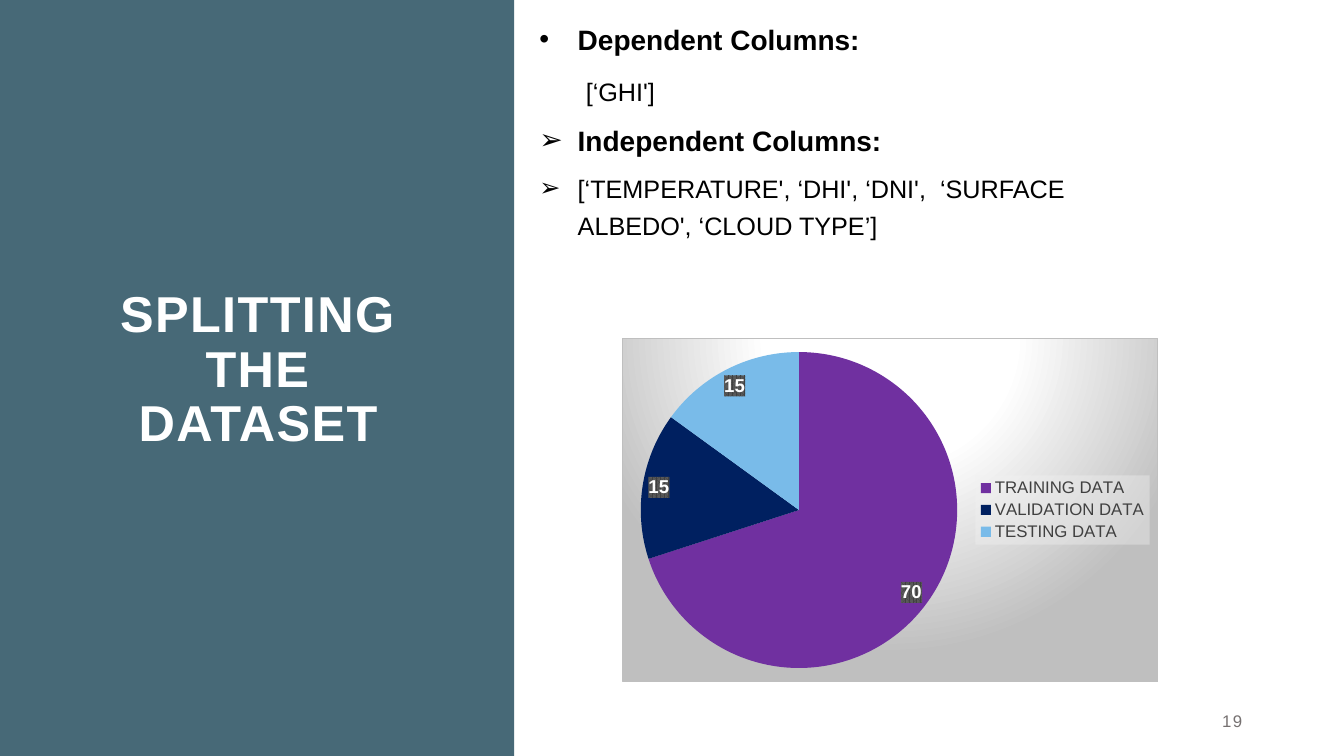
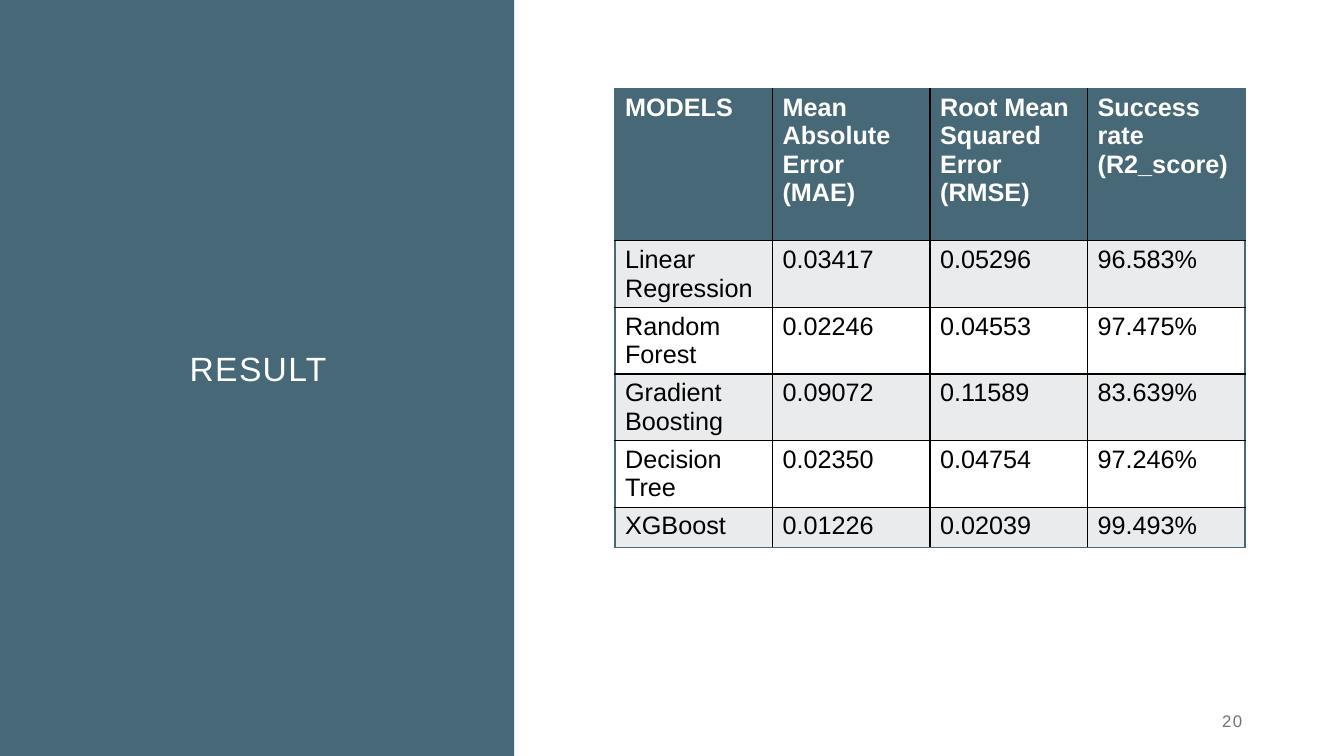
import pptx
import pptx.chart.data
import pptx.dml.color
import pptx.enum.chart
import pptx.enum.shapes
import pptx.enum.text
import pptx.oxml
import pptx.util
from lxml import etree

Inches, Pt = pptx.util.Inches, pptx.util.Pt
RGBColor = pptx.dml.color.RGBColor
ALIGN = pptx.enum.text.PP_ALIGN
ANCHOR = pptx.enum.text.MSO_ANCHOR
A_NS = "http://schemas.openxmlformats.org/drawingml/2006/main"
C_NS = "http://schemas.openxmlformats.org/drawingml/2006/chart"

# Shared look
FONT = "Arial"
TEAL = RGBColor(0x47, 0x69, 0x77)
WHITE = RGBColor(0xFF, 0xFF, 0xFF)
BLACK = RGBColor(0, 0, 0)
GREY = RGBColor(0x76, 0x71, 0x71)
DARK = RGBColor(0x40, 0x40, 0x40)
SILVER = RGBColor(0xBF, 0xBF, 0xBF)
BAND = RGBColor(0xE9, 0xEB, 0xEC)
PURPLE = RGBColor(0x70, 0x30, 0xA0)
NAVY = RGBColor(0x00, 0x20, 0x60)
SKY = RGBColor(0x79, 0xBB, 0xE9)

# Content of the dataset slide
COLUMN_NOTES = [
    ("Dependent Columns:", dict(size=20, bold=True, bullet="•")),
    ("[‘GHI']", dict(size=18, margin=0.46, before=3)),
    ("Independent Columns:", dict(size=20, bold=True, bullet="➢")),
    ("[‘TEMPERATURE', ‘DHI', ‘DNI',  ‘SURFACE ALBEDO', ‘CLOUD TYPE’]",
     dict(size=18, bullet="➢")),
]
SPLIT = [
    ("TRAINING DATA", 70, PURPLE),
    ("VALIDATION DATA", 15, NAVY),
    ("TESTING DATA", 15, SKY),
]

# Content of the result slide
SCORES = [
    ("MODELS", "Mean Absolute Error (MAE)", "Root Mean Squared Error (RMSE)",
     "Success rate\n(R2_score)"),
    ("Linear Regression", "0.03417", "0.05296", "96.583%"),
    ("Random Forest", "0.02246", "0.04553", "97.475%"),
    ("Gradient Boosting", "0.09072", "0.11589", "83.639%"),
    ("Decision Tree", "0.02350", "0.04754", "97.246%"),
    ("XGBoost", "0.01226", "0.02039", "99.493%"),
]
ROW_HEIGHTS = [1.51, 0.66, 0.66, 0.66, 0.66, 0.4]


def write(frame, text, size=18, color=BLACK, bold=False, align=ALIGN.LEFT,
          line=1.0, before=0, after=0, tracking=0, margin=0, bullet=None):
    """Add one formatted paragraph to a text frame."""
    paragraph = frame.add_paragraph() if frame.text else frame.paragraphs[0]
    paragraph.alignment = align
    paragraph.line_spacing = line
    paragraph.space_before, paragraph.space_after = Pt(before), Pt(after)
    properties = paragraph._p.get_or_add_pPr()
    hang = 0.38 if bullet else 0
    properties.set("marL", str(Inches(margin + hang)))
    properties.set("indent", str(Inches(-hang)))
    if bullet:
        etree.SubElement(properties, f"{{{A_NS}}}buFont", typeface=FONT)
        etree.SubElement(properties, f"{{{A_NS}}}buChar", char=bullet)
    else:
        etree.SubElement(properties, f"{{{A_NS}}}buNone")
    run = paragraph.add_run()
    run.text = text
    run.font.name, run.font.size, run.font.bold = FONT, Pt(size), bold
    run.font.color.rgb = color
    if tracking:
        run.font._element.set("spc", str(tracking * 100))


def place(shape, left, top, width, height, anchor=ANCHOR.MIDDLE):
    """Position a text shape and return its frame."""
    shape.left, shape.top = Inches(left), Inches(top)
    shape.width, shape.height = Inches(width), Inches(height)
    frame = shape.text_frame
    frame.word_wrap = True
    frame.auto_size = pptx.enum.text.MSO_AUTO_SIZE.NONE
    frame.vertical_anchor = anchor
    return frame


def start_slide(deck, layout, heading, number, **heading_format):
    """Add a slide with the teal side panel, its title and its number."""
    slide = deck.slides.add_slide(deck.slide_layouts[layout])
    panel = slide.shapes.add_shape(
        pptx.enum.shapes.MSO_SHAPE.RECTANGLE,
        0, Inches(-0.01), Inches(5.1), Inches(7.51))
    panel.shadow.inherit = False
    panel.fill.solid()
    panel.fill.fore_color.rgb = TEAL
    panel.line.fill.background()
    title = slide.shapes.title
    title.element.addprevious(panel.element)
    write(place(title, 0.7, 0.88, 3.72, 5.6), heading, color=WHITE,
          align=ALIGN.CENTER, line=0.9, tracking=1, **heading_format)
    page = slide.shapes.add_textbox(0, 0, 0, 0)
    write(place(page, 9.42, 6.95, 3, 0.4), str(number), size=12, color=GREY,
          align=ALIGN.RIGHT, tracking=1)
    return slide


def chart_properties(content):
    """Build the formatting element of a chart part."""
    return pptx.oxml.parse_xml(
        f'<c:spPr xmlns:c="{C_NS}" xmlns:a="{A_NS}">{content}</c:spPr>')


def solid(color, alpha=100):
    return (f'<a:solidFill><a:srgbClr val="{color}"><a:alpha val="{alpha * 1000}"/>'
            '</a:srgbClr></a:solidFill>')


def add_split_pie(slide):
    data = pptx.chart.data.CategoryChartData()
    data.categories = [name for name, _, _ in SPLIT]
    data.add_series("Series 1", [share for _, share, _ in SPLIT])
    pie = slide.shapes.add_chart(
        pptx.enum.chart.XL_CHART_TYPE.PIE,
        Inches(6.17), Inches(3.35), Inches(5.32), Inches(3.42), data).chart
    pie.has_title = False
    pie.font.name, pie.font.size = FONT, Pt(10)
    pie.font.color.rgb = BLACK

    # Slices and value labels
    plot = pie.plots[0]
    plot.vary_by_categories = True
    for index, (_, _, color) in enumerate(SPLIT):
        fill = plot.series[0].points[index].format.fill
        fill.solid()
        fill.fore_color.rgb = color
    plot.has_data_labels = True
    labels = plot.data_labels
    labels.show_value = True
    labels.show_percentage = False
    labels.position = pptx.enum.chart.XL_LABEL_POSITION.BEST_FIT
    labels.font.name, labels.font.size, labels.font.bold = FONT, Pt(13.3), True
    labels.font.color.rgb = WHITE
    labels._element.find(f"{{{C_NS}}}txPr").addprevious(chart_properties(
        f'<a:pattFill prst="pct75"><a:fgClr><a:srgbClr val="{DARK}"/></a:fgClr>'
        '<a:bgClr><a:srgbClr val="595959"/></a:bgClr></a:pattFill>'))

    # Legend on a translucent plate
    pie.has_legend = True
    legend = pie.legend
    legend.position = pptx.enum.chart.XL_LEGEND_POSITION.RIGHT
    legend.include_in_layout = False
    legend.font.name, legend.font.size = FONT, Pt(12)
    legend.font.color.rgb = DARK
    legend._element.find(f"{{{C_NS}}}txPr").addprevious(
        chart_properties(solid("F2F2F2", 39)))

    # Radial background and border
    stops = "".join(
        f'<a:gs pos="{position * 1000}"><a:srgbClr val="{color}"/></a:gs>'
        for position, color in ((0, WHITE), (39, WHITE), (100, SILVER)))
    pie._chartSpace.find(f"{{{C_NS}}}chart").addnext(chart_properties(
        f'<a:gradFill><a:gsLst>{stops}</a:gsLst><a:path path="circle">'
        '<a:fillToRect l="50000" t="-80000" r="50000" b="180000"/></a:path>'
        f'</a:gradFill><a:ln w="{Pt(0.75)}">{solid(SILVER)}</a:ln>'))


def set_borders(cell, **colors):
    """Draw 1 pt cell edges, keyed L, R, T, B in that order."""
    properties = cell._tc.get_or_add_tcPr()
    for position, (side, color) in enumerate(colors.items()):
        properties.insert(position, pptx.oxml.parse_xml(
            f'<a:ln{side} xmlns:a="{A_NS}" w="{Pt(1)}">{solid(color)}</a:ln{side}>'))


def add_score_table(slide):
    rows, columns = len(SCORES), len(SCORES[0])
    table = slide.shapes.add_table(
        rows, columns, Inches(6.1), Inches(0.88),
        Inches(6.25), Inches(sum(ROW_HEIGHTS))).table
    table.horz_banding = False
    for row, values in enumerate(SCORES):
        table.rows[row].height = Inches(ROW_HEIGHTS[row])
        header = row == 0
        for column, value in enumerate(values):
            cell = table.cell(row, column)
            for text in value.split("\n"):
                write(cell.text_frame, text, bold=header,
                      color=WHITE if header else BLACK)
            cell.fill.solid()
            cell.fill.fore_color.rgb = (
                TEAL if header else BAND if row % 2 else WHITE)
            set_borders(cell,
                        L=TEAL if column == 0 else BLACK,
                        R=TEAL if column == columns - 1 else BLACK,
                        T=TEAL if header else BLACK,
                        B=TEAL if row == rows - 1 else BLACK)


def main():
    deck = pptx.Presentation()
    deck.slide_width, deck.slide_height = Inches(13.33), Inches(7.5)

    dataset = start_slide(deck, 1, "SPLITTING THE DATASET", 19, size=36, bold=True)
    notes = place(dataset.placeholders[1], 5.25, 0.09, 6.32, 3.2, ANCHOR.TOP)
    for text, style in COLUMN_NOTES:
        write(notes, text, line=1.25, after=6, **style)
    add_split_pie(dataset)

    result = start_slide(deck, 5, "RESULT", 20, size=24)
    add_score_table(result)

    deck.save("out.pptx")


if __name__ == "__main__":
    main()
